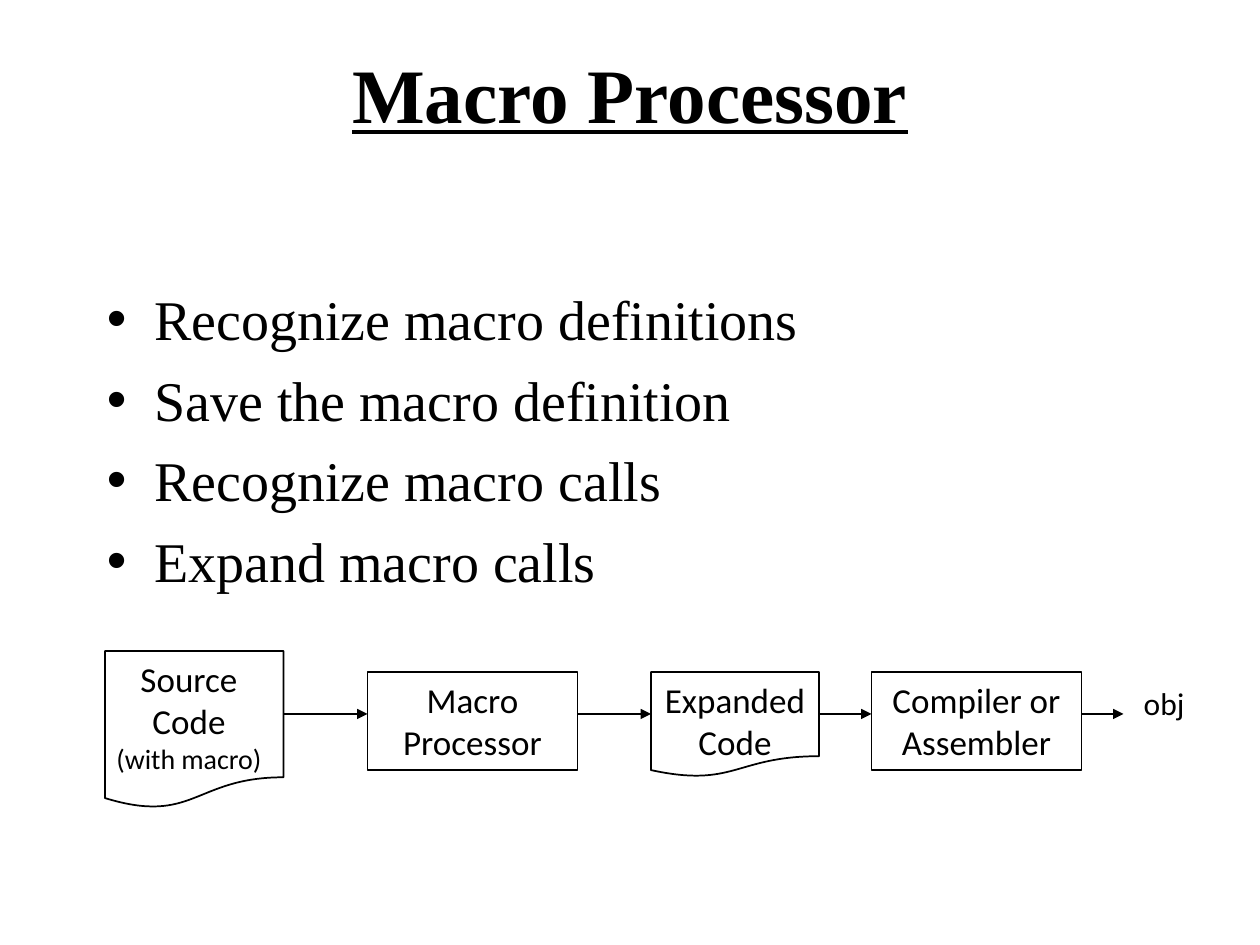
import pptx
import pptx.util
import pptx.dml.color
import pptx.enum.shapes
import pptx.enum.text
import pptx.oxml
import pptx.oxml.ns

Pt = pptx.util.Pt
SHAPE = pptx.enum.shapes.MSO_SHAPE
ALIGN = pptx.enum.text.PP_ALIGN

COLORS = {"ink": "000000", "paper": "FFFFFF"}
SERIF, SANS = "Times New Roman", "Calibri"
TITLE = "Macro Processor"
STEPS = ["Recognize macro definitions", "Save the macro definition",
         "Recognize macro calls", "Expand macro calls"]
NODES = [
    {"kind": SHAPE.FLOWCHART_DOCUMENT, "box": (60, 372, 102, 90),
     "label": (54, 372, 108, 74), "text": [("Source Code", 20), ("(with macro)", 16)]},
    {"kind": SHAPE.RECTANGLE, "box": (210, 384, 120, 56),
     "text": [("Macro Processor", 20)]},
    {"kind": SHAPE.FLOWCHART_DOCUMENT, "box": (372, 384, 96, 60),
     "label": (372, 384, 96, 55.5), "text": [("Expanded Code", 20)]},
    {"kind": SHAPE.RECTANGLE, "box": (498, 384, 120, 56),
     "text": [("Compiler or Assembler", 20)]},
]
OUTPUT = ("obj", 18)
FLOW_Y, FLOW_END = 408, 642


def ink():
    return pptx.dml.color.RGBColor.from_string(COLORS["ink"])


def assign(obj, values):
    for name, value in values.items():
        setattr(obj, name, value)


def write(sp, lines, font, align=ALIGN.CENTER, gap=0, bullet=False, top=3.6, wrap=True):
    tf = sp.text_frame
    assign(tf, {"word_wrap": wrap, "margin_left": Pt(7.2), "margin_right": Pt(7.2),
                "margin_top": Pt(top), "margin_bottom": Pt(3.6),
                "vertical_anchor": pptx.enum.text.MSO_ANCHOR.TOP})
    for i, (text, size) in enumerate(lines):
        p = tf.add_paragraph() if i else tf.paragraphs[0]
        assign(p, {"alignment": align, "space_before": Pt(gap if i else 0)})
        if bullet:
            pPr = p._p.get_or_add_pPr()
            pPr.set("marL", str(Pt(27)))
            pPr.set("indent", str(Pt(-27)))
            for tag, attr, value in (("buFont", "typeface", "Arial"), ("buChar", "char", "•")):
                pptx.oxml.ns.qn("a:" + tag)
                pPr.append(pptx.oxml.parse_xml(
                    f'<a:{tag} {pptx.oxml.ns.nsdecls("a")} {attr}="{value}"/>'))
        r = p.add_run()
        r.text = text
        assign(r.font, {"size": Pt(size), **font})
        r.font.color.rgb = ink()


def text_box(s, box, lines, font, **options):
    write(s.shapes.add_textbox(*map(Pt, box)), lines, font, **options)


def add_node(s, node):
    if "label" in node:
        text_box(s, node["label"], node["text"], {"name": SANS})
    sp = s.shapes.add_shape(node["kind"], *map(Pt, node["box"]))
    sp.shadow.inherit = False
    sp.fill.background()
    sp.line.color.rgb = ink()
    sp.line.width = Pt(1)
    if "label" not in node:
        write(sp, node["text"], {"name": SANS})


def add_arrow(s, start, end):
    line = s.shapes.add_connector(pptx.enum.shapes.MSO_CONNECTOR.STRAIGHT,
                                  Pt(start), Pt(FLOW_Y), Pt(end), Pt(FLOW_Y))
    line.line.color.rgb = ink()
    line.line.width = Pt(1)
    ns = pptx.oxml.ns.nsdecls("a")
    line.line._get_or_add_ln().append(
        pptx.oxml.parse_xml(f'<a:tailEnd {ns} type="triangle"/>'))
    line._element.spPr.append(pptx.oxml.parse_xml(f"<a:effectLst {ns}/>"))


def main():
    prs = pptx.Presentation()
    assign(prs, {"slide_width": Pt(720), "slide_height": Pt(540)})
    s = prs.slides.add_slide(prs.slide_layouts[6])
    s.background.fill.solid()
    s.background.fill.fore_color.rgb = pptx.dml.color.RGBColor.from_string(COLORS["paper"])

    text_box(s, (54, 18, 612, 90), [(TITLE, 44)],
             {"name": SERIF, "bold": True, "underline": True}, top=8.6)
    text_box(s, (54, 156, 612, 324), [(step, 32) for step in STEPS], {"name": SERIF},
             align=ALIGN.LEFT, gap=7.7, bullet=True, top=6.6)

    for node in NODES:
        add_node(s, node)
    starts = [node["box"][0] + node["box"][2] for node in NODES]
    ends = [node["box"][0] for node in NODES[1:]] + [FLOW_END]
    for start, end in zip(starts, ends):
        add_arrow(s, start, end)
    text_box(s, (646.5, 387.5, 45, 36), [OUTPUT], {"name": SANS},
             align=ALIGN.LEFT, wrap=False)
    prs.save("out.pptx")


if __name__ == "__main__":
    main()
